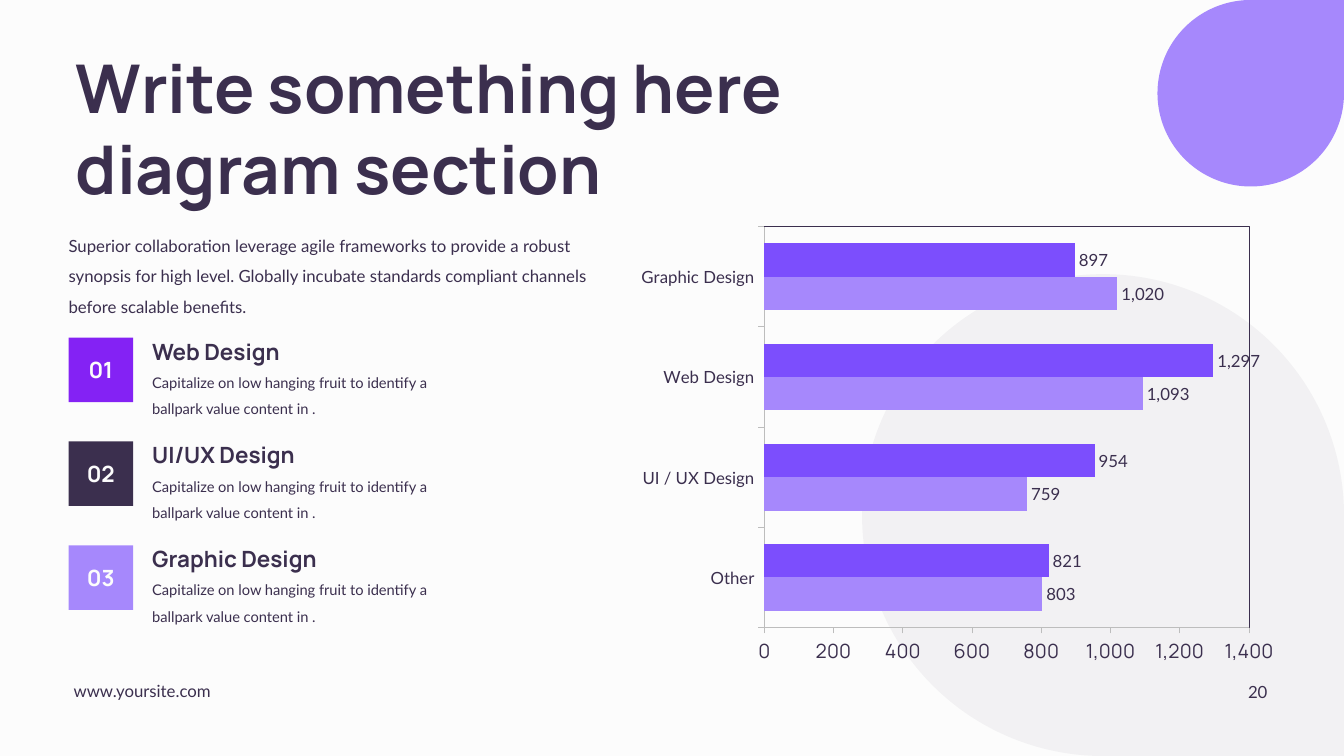
from lxml import etree
from pptx import Presentation
from pptx.chart.data import CategoryChartData
from pptx.dml.color import RGBColor
from pptx.enum import chart as charts, shapes, text
from pptx.oxml import parse_xml
from pptx.oxml.ns import nsdecls, qn
from pptx.util import Inches, Pt

# Content
COLORS = {"background": "FCFCFC", "ink": "3B2F4E", "lilac": "A688FC",
          "violet": "7C4EFD", "purple": "8422F4", "axis": "BDBDBD"}
TITLE = "Write something here diagram section"
INTRO = ("Superior collaboration leverage agile frameworks to provide a robust "
         "synopsis for high level. Globally incubate standards compliant channels "
         "before scalable benefits.")
SERVICE_NOTE = "Capitalize on low hanging fruit to identify a ballpark value content in ."
SERVICES = [("01", "Web Design", "purple"),
            ("02", "UI/UX Design", "ink"),
            ("03", "Graphic Design", "lilac")]
CATEGORIES = ["Other", "UI / UX Design", "Web Design", "Graphic Design"]
SERIES = [("Series 1", (803, 759, 1093, 1020), "lilac"),
          ("Series 2", (821, 954, 1297, 897), "violet")]
SITE = "www.yoursite.com"
PAGE = "20"

# Layout: inches, and the plot as shares of the chart
LEFT, SERVICE_LEFT = 0.68, 1.51
SERVICE_TOP, SERVICE_PITCH, BADGE = 3.35, 1.03, 0.64
PLOT = {"x": 0.203, "y": 0.002, "w": 0.756, "h": 0.9}


def rgb(name):
    return RGBColor.from_string(COLORS[name])


def set_font(font, size, name="Lato", color="ink", bold=False):
    font.size, font.name, font.bold = Pt(size), name, bold
    font.color.rgb = rgb(color)


def write(shape, words, size, name="Lato", color="ink", bold=False,
          align=text.PP_ALIGN.LEFT, anchor=text.MSO_ANCHOR.TOP, spacing=1.0, inset=0):
    frame = shape.text_frame
    frame.word_wrap = True
    frame.auto_size = text.MSO_AUTO_SIZE.NONE
    frame.vertical_anchor = anchor
    frame.margin_left = frame.margin_right = Inches(inset)
    frame.margin_top = frame.margin_bottom = Inches(inset / 2)
    frame.text = words
    paragraph = frame.paragraphs[0]
    paragraph.alignment = align
    paragraph.line_spacing = spacing
    set_font(paragraph.font, size, name, color, bold)


def add_text(slide, box, words, size, **style):
    write(slide.shapes.add_textbox(*map(Inches, box)), words, size, **style)


def add_block(slide, kind, box, color):
    shape = slide.shapes.add_shape(kind, *map(Inches, box))
    shape.shadow.inherit = False
    shape.fill.solid()
    shape.fill.fore_color.rgb = rgb(color)
    shape.line.fill.background()
    return shape


def add_chart(slide):
    data = CategoryChartData(number_format="#,##0")
    data.categories = CATEGORIES
    for name, values, _ in SERIES:
        data.add_series(name, values)
    box = map(Inches, (6.29, 2.24, 6.36, 4.42))
    chart = slide.shapes.add_chart(charts.XL_CHART_TYPE.BAR_CLUSTERED, *box, data).chart
    chart.has_legend = chart.has_title = False
    set_font(chart.font, 12)

    for axis, size, name in ((chart.category_axis, 12, "Lato"),
                             (chart.value_axis, 14, "Manrope")):
        axis.has_major_gridlines = False
        axis.major_tick_mark = charts.XL_TICK_MARK.OUTSIDE
        axis.minor_tick_mark = charts.XL_TICK_MARK.NONE
        axis.format.line.color.rgb = rgb("axis")
        axis.format.line.width = Pt(0.75)
        set_font(axis.tick_labels.font, size, name)
    value_axis = chart.value_axis
    value_axis.minimum_scale, value_axis.maximum_scale = 0, 1400
    value_axis.major_unit = 200
    value_axis.tick_labels.number_format = "#,##0"
    value_axis.tick_labels.number_format_is_linked = False

    plot = chart.plots[0]
    plot.gap_width, plot.overlap = 100, 0
    plot.vary_by_categories = False
    for series, (_, _, color) in zip(plot.series, SERIES):
        series.format.fill.solid()
        series.format.fill.fore_color.rgb = rgb(color)
        labels = series.data_labels
        labels.show_value = True
        labels.position = charts.XL_LABEL_POSITION.OUTSIDE_END
        labels.number_format = "#,##0"
        labels.number_format_is_linked = False
        set_font(labels.font, 12)

    # Fixed plot position, thin frame and clear background
    area = chart._chartSpace.chart.plotArea
    for old in area.findall(qn("c:layout")):
        area.remove(old)
    sizes = "".join(f'<c:{key} val="{value}"/>' for key, value in PLOT.items())
    area.insert(0, parse_xml(
        f'<c:layout {nsdecls("c")}><c:manualLayout><c:layoutTarget val="inner"/>'
        f'<c:xMode val="edge"/><c:yMode val="edge"/>{sizes}</c:manualLayout></c:layout>'))
    area.append(parse_xml(
        f'<c:spPr {nsdecls("c", "a")}><a:noFill/><a:ln w="9525"><a:solidFill>'
        f'<a:srgbClr val="{COLORS["ink"]}"/></a:solidFill></a:ln></c:spPr>'))
    area.getparent().addnext(parse_xml(
        f'<c:spPr {nsdecls("c", "a")}><a:noFill/><a:ln><a:noFill/></a:ln></c:spPr>'))


def main():
    presentation = Presentation()
    presentation.slide_width, presentation.slide_height = Inches(13.33), Inches(7.5)
    slide = presentation.slides.add_slide(presentation.slide_layouts[5])
    slide.background.fill.solid()
    slide.background.fill.fore_color.rgb = rgb("background")

    # Corner drops
    drop = shapes.MSO_SHAPE.TEAR
    add_block(slide, drop, (11.48, 0, 1.85, 1.85), "lilac")
    pale_drop = add_block(slide, drop, (8.55, 2.72, 4.78, 4.78), "ink")
    properties = pale_drop._element.spPr
    properties.find(qn("a:xfrm")).set("flipV", "1")
    color = properties.find(qn("a:solidFill")).find(qn("a:srgbClr"))
    etree.SubElement(color, qn("a:alpha")).set("val", "5000")

    # Title and introduction
    title = slide.shapes.title
    title.left, title.top, title.width, title.height = map(Inches, (0.65, 0.41, 9.48, 1.72))
    write(title, TITLE, 48, name="Manrope", bold=True, inset=0.1)
    add_text(slide, (LEFT, 2.24, 5.21, 0.87), INTRO, 12, spacing=1.5)

    # Numbered services
    for index, (number, name, color) in enumerate(SERVICES):
        top = SERVICE_TOP + index * SERVICE_PITCH
        badge = add_block(slide, shapes.MSO_SHAPE.RECTANGLE, (LEFT, top, BADGE, BADGE), color)
        write(badge, number, 16, name="Manrope", color="background", bold=True,
              align=text.PP_ALIGN.CENTER, anchor=text.MSO_ANCHOR.MIDDLE)
        add_text(slide, (SERVICE_LEFT, top, 2.58, 0.27), name, 16, name="Manrope", bold=True)
        add_text(slide, (SERVICE_LEFT, top + 0.27, 3.03, 0.5), SERVICE_NOTE, 10.5, spacing=1.5)

    add_chart(slide)

    # Footer
    add_text(slide, (0.73, 6.75, 2.71, 0.2), SITE, 12)
    add_text(slide, (9.67, 6.66, 3, 0.4), PAGE, 12, align=text.PP_ALIGN.RIGHT,
             anchor=text.MSO_ANCHOR.MIDDLE, inset=0.1)
    presentation.save("out.pptx")


if __name__ == "__main__":
    main()
